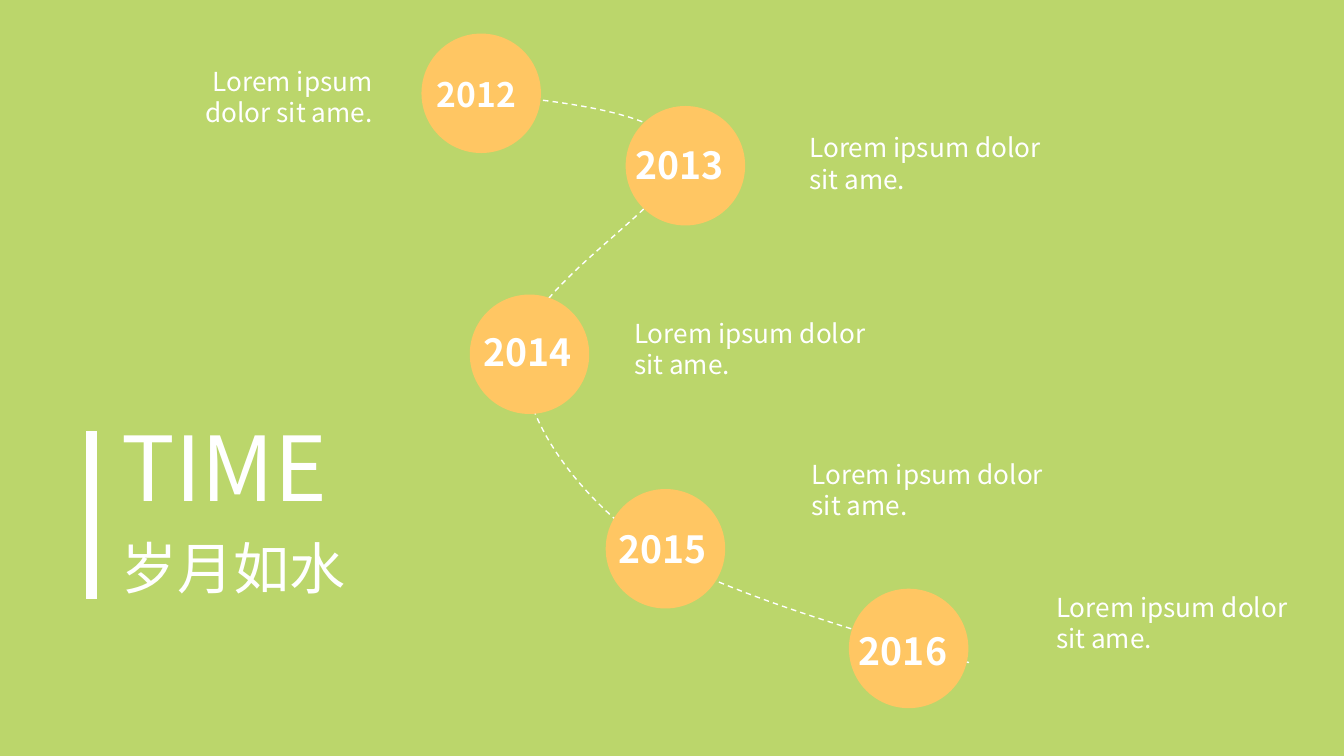
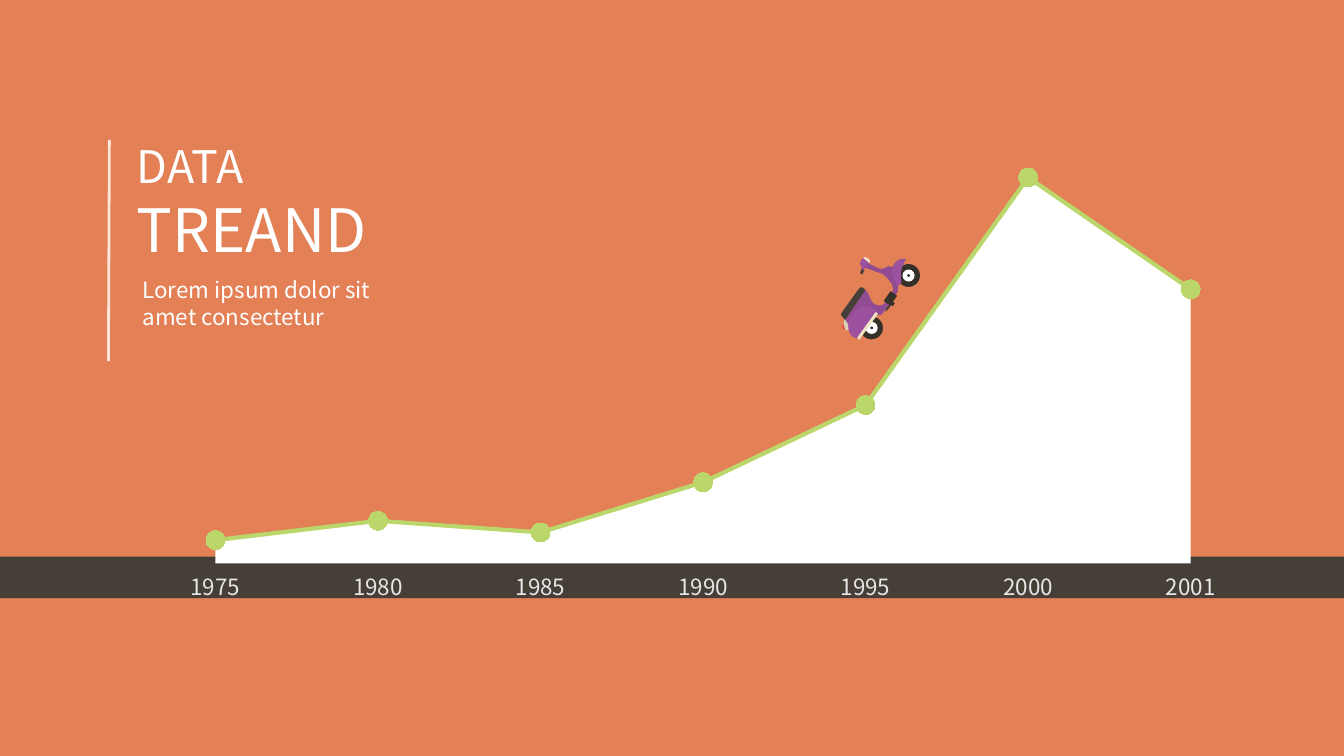
"""Build a two-slide deck: a timeline of years and a data trend chart."""
from dataclasses import dataclass
from typing import Any, NamedTuple

import lxml.etree
import pptx
import pptx.chart.data
import pptx.dml.color
import pptx.enum.chart
import pptx.enum.dml
import pptx.enum.shapes
import pptx.enum.text
import pptx.oxml
import pptx.oxml.ns
import pptx.slide
import pptx.util

Pt = pptx.util.Pt
ShapeKind = pptx.enum.shapes.MSO_SHAPE
LEFT = pptx.enum.text.PP_ALIGN.LEFT
RIGHT = pptx.enum.text.PP_ALIGN.RIGHT

FONT = "Noto Sans CJK SC"
WHITE, GREEN, ORANGE, AMBER = "FFFFFF", "BBD66B", "E38056", "FFC663"
BROWN, PALE_GREY, PALE_PEACH = "463F37", "E7E6E6", "FBE5D6"
TYRE, PURPLE, DEEP_PURPLE, CREAM = "353028", "9C519E", "904B92", "F1E4C4"

CIRCLE_SIZE = 64
YEAR_WIDTH = 65
OUTLINE_UNIT = 0.72


class Box(NamedTuple):
    left: float
    top: float
    width: float
    height: float


class Line(NamedTuple):
    text: str
    size: float
    bold: bool = False


@dataclass(frozen=True)
class Milestone:
    year: Line
    circle: tuple[float, float]
    year_right: float
    year_top: float
    note: Box
    note_align: Any = LEFT


@dataclass(frozen=True)
class Outline:
    color: str
    segments: tuple[tuple[float, ...], ...]


class Wheel(NamedTuple):
    x: float
    y: float


MILESTONES = (
    Milestone(Line("2012", 18, True), (225.8, 18), 283.5, 36, Box(91.8, 31.5, 115, 41), RIGHT),
    Milestone(Line("2013", 20, True), (335.2, 56.8), 395, 72.7, Box(426.5, 67, 141, 41)),
    Milestone(Line("2014", 20, True), (251.7, 157.8), 313.2, 172.8, Box(332.6, 166.5, 141, 41)),
    Milestone(Line("2015", 20, True), (324.5, 262), 385.5, 278.6, Box(427.8, 242, 141, 41)),
    Milestone(Line("2016", 20, True), (454.8, 315.4), 514.5, 333.2, Box(558.7, 313.2, 141, 41)),
)
TIMELINE = (
    (347, 69), (409, 74, 499, 83, 506, 114), (513, 146, 393, 210, 389, 259),
    (385, 308, 428, 368, 484, 407), (539, 446, 721, 493, 721, 493),
)

TREND = {"1975": 6, "1980": 11, "1985": 8, "1990": 21, "1995": 41, "2000": 100, "2001": 71}
PLOT_PERCENT = {"x": 2.03, "y": 5.6, "w": 96, "h": 85.1}

WHEELS = (Wheel(676, 205), Wheel(648.5, 244))
WHEEL_RINGS = ((17, TYRE), (9, WHITE), (2, TYRE))
SCOOTER_REAR = (
    Outline("C7BEA3", ((678, 208), (679, 208), (682, 208), (683, 209), (681, 211),
                       (681, 212), (680, 213), (678, 211))),
    Outline("ED2A27", ((628, 241), (628, 241, 626, 242, 627, 244),
                       (627, 245, 629, 245, 629, 245))),
    Outline("DACFB2", ((629, 237), (629, 237, 629, 238, 628, 239),
                       (627, 240, 628, 245, 630, 246), (631, 246, 632, 245, 632, 245),
                       (633, 240))),
)
SCOOTER_BODY = (
    Outline(BROWN, ((642, 214), (641, 213, 640, 214, 639, 215), (626, 233),
                    (625, 234, 626, 235, 627, 236), (629, 238), (644, 216))),
    Outline(BROWN, ((664, 225), (664, 226), (660, 231), (660, 232, 659, 232, 659, 232),
                    (659, 230), (663, 225))),
    Outline(TYRE, ((665, 225), (666, 225, 666, 226, 665, 227),
                   (665, 228, 664, 228, 663, 227), (661, 226),
                   (660, 226, 660, 225, 661, 224), (661, 223, 662, 223, 663, 224))),
    Outline(DEEP_PURPLE, (
        (643, 199), (657, 204), (657, 204, 664, 210, 664, 213),
        (665, 216, 664, 218, 664, 218), (664, 218, 659, 224, 658, 226),
        (657, 228, 651, 228, 649, 225), (647, 222, 646, 217, 644, 216), (629, 238),
        (631, 241), (652, 234), (652, 234, 655, 236, 657, 233), (668, 217), (668, 213),
        (670, 210), (670, 210, 668, 202, 674, 193), (667, 191, 664, 199, 664, 199),
        (661, 198), (661, 198, 657, 201, 654, 200), (646, 196))),
)
SCOOTER_PANELS = (
    Outline(PURPLE, ((650, 230), (651, 231, 652, 232, 653, 233),
                     (648, 240, 642, 248, 639, 252), (638, 252, 637, 251, 635, 251),
                     (630, 247, 630, 239, 634, 234), (638, 228, 645, 226, 650, 230))),
    Outline(PURPLE, ((664, 199), (663, 204, 665, 209, 668, 213), (671, 210),
                     (671, 210, 668, 202, 674, 193), (668, 191, 664, 198, 664, 199))),
    Outline(CREAM, ((653, 233), (653, 234), (640, 252), (640, 253, 639, 253, 639, 253),
                    (638, 251), (651, 233), (651, 232, 652, 232, 653, 233))),
    Outline(CREAM, ((642, 192), (647, 196), (648, 195, 647, 193, 647, 193), (645, 192),
                    (644, 191, 643, 191, 642, 192))),
    Outline(PURPLE, ((640, 195), (639, 196, 640, 197, 641, 198), (642, 199),
                     (643, 200, 645, 199, 645, 198), (647, 196), (642, 192))),
    Outline(BROWN, ((640, 203), (640, 203, 640, 204, 641, 204), (642, 204),
                    (643, 201), (641, 200))),
    Outline(PURPLE, ((643, 196), (642, 196, 642, 197, 642, 197), (641, 200), (643, 201),
                     (644, 198), (644, 197, 644, 197, 643, 196))),
)


def rgb(color: str) -> pptx.dml.color.RGBColor:
    return pptx.dml.color.RGBColor.from_string(color)


def paint(fill: Any, color: str) -> None:
    fill.solid()
    fill.fore_color.rgb = rgb(color)


def place(shape: Any, box: Box) -> None:
    shape.left, shape.top, shape.width, shape.height = map(Pt, box)


def write(shape: Any, lines: list[Line], align: Any = LEFT) -> None:
    frame = shape.text_frame
    frame.word_wrap = True
    frame.auto_size = pptx.enum.text.MSO_AUTO_SIZE.NONE
    frame.vertical_anchor = pptx.enum.text.MSO_ANCHOR.TOP
    frame.text = "\n".join(line.text for line in lines)
    for paragraph, line in zip(frame.paragraphs, lines):
        paragraph.alignment = align
        font = paragraph.font
        font.size, font.bold, font.name = Pt(line.size), line.bold, FONT
        font.color.rgb = rgb(WHITE)
        for properties in paragraph._p.xpath("a:pPr/a:defRPr"):
            lxml.etree.SubElement(properties, pptx.oxml.ns.qn("a:ea"), typeface=FONT)


def add_text(slide: pptx.slide.Slide, box: Box, line: Line, align: Any = LEFT) -> None:
    write(slide.shapes.add_textbox(*map(Pt, box)), [line], align)


def add_flat(shapes: Any, kind: Any, box: Box, color: str, turn: float = 0) -> None:
    shape = shapes.add_shape(kind, *map(Pt, box))
    shape.shadow.inherit = False
    shape.rotation = turn
    paint(shape.fill, color)
    shape.line.fill.background()


def add_rule(slide: pptx.slide.Slide, x: float, top: float, bottom: float,
             color: str, weight: float, lean: float = 0) -> None:
    rule = slide.shapes.add_connector(
        pptx.enum.shapes.MSO_CONNECTOR.STRAIGHT, Pt(x + lean), Pt(top), Pt(x), Pt(bottom))
    rule.line.color.rgb = rgb(color)
    rule.line.width = Pt(weight)
    lxml.etree.SubElement(rule._element.spPr, pptx.oxml.ns.qn("a:effectLst"))


def add_outline(shapes: Any, segments: tuple[tuple[float, ...], ...], closed: bool) -> Any:
    points = [(Pt(x * OUTLINE_UNIT), Pt(y * OUTLINE_UNIT))
              for segment in segments for x, y in zip(segment[::2], segment[1::2])]
    builder = shapes.build_freeform(*points[0])
    builder.add_line_segments(points[1:], close=False)
    shape = builder.convert_to_shape()
    shape.shadow.inherit = False
    steps = iter(shape._element.xpath(".//a:lnTo"))
    for segment in segments[1:]:
        corner = next(steps)
        if len(segment) == 6:
            curve = lxml.etree.Element(pptx.oxml.ns.qn("a:cubicBezTo"))
            corner.addprevious(curve)
            for step in (corner, next(steps), next(steps)):
                curve.append(step[0])
                step.getparent().remove(step)
    if closed:
        drawing = shape._element.xpath(".//a:pathLst/*")[0]
        lxml.etree.SubElement(drawing, pptx.oxml.ns.qn("a:close"))
    return shape


def start_slide(deck: Any, background: str, title: list[Line], title_box: Box,
                subtitle: Line, subtitle_box: Box) -> pptx.slide.Slide:
    slide = deck.slides.add_slide(deck.slide_layouts[0])
    paint(slide.background.fill, background)
    place(slide.shapes.title, title_box)
    write(slide.shapes.title, title)
    place(slide.placeholders[1], subtitle_box)
    write(slide.placeholders[1], [subtitle])
    return slide


def build_timeline(deck: Any) -> None:
    slide = start_slide(deck, GREEN, [Line("TIME", 48)], Box(58, 217, 130, 65.5),
                        Line("岁月如水", 30), Box(58, 282.2, 158.4, 44))
    thread = add_outline(slide.shapes, TIMELINE, closed=False)
    thread.fill.background()
    thread.line.color.rgb = rgb(WHITE)
    thread.line.width = Pt(0.75)
    thread.line.dash_style = pptx.enum.dml.MSO_LINE.DASH
    for stop in MILESTONES:
        circle = Box(*stop.circle, CIRCLE_SIZE, CIRCLE_SIZE)
        add_flat(slide.shapes, ShapeKind.OVAL, circle, AMBER)
        year_box = Box(stop.year_right - YEAR_WIDTH, stop.year_top, YEAR_WIDTH, 31.7)
        add_text(slide, year_box, stop.year, RIGHT)
        add_text(slide, stop.note, Line("Lorem ipsum dolor sit ame.", 14), stop.note_align)
    add_rule(slide, 49.2, 231, 321, WHITE, 6)


def add_trend_chart(slide: pptx.slide.Slide) -> None:
    trend = pptx.chart.data.CategoryChartData()
    trend.categories = list(TREND)
    for name in ("Series 1", "Series 2"):
        trend.add_series(name, list(TREND.values()))
    chart = slide.shapes.add_chart(pptx.enum.chart.XL_CHART_TYPE.AREA,
                                   *map(Pt, (59, 37.4, 635, 291.6)), trend).chart
    chart.has_legend = chart.has_title = False
    chart.font.size, chart.font.name = Pt(10), FONT
    chart.font.color.rgb = rgb("000000")

    years, values = chart.category_axis, chart.value_axis
    years.major_tick_mark = years.minor_tick_mark = pptx.enum.chart.XL_TICK_MARK.NONE
    years.format.line.fill.background()
    years.has_major_gridlines = values.has_major_gridlines = False
    label_font = years.tick_labels.font
    label_font.size, label_font.name = Pt(12), FONT
    label_font.color.rgb = rgb(PALE_GREY)
    values.minimum_scale, values.maximum_scale = 0, 120
    values.visible = False

    space = chart._chartSpace
    namespaces = pptx.oxml.ns.nsdecls("c", "a")
    space.xpath("c:chart")[0].addnext(pptx.oxml.parse_xml(
        f"<c:spPr {namespaces}><a:noFill/><a:ln><a:noFill/></a:ln></c:spPr>"))
    space.xpath(".//c:crossBetween")[0].set("val", "between")
    for old_layout in space.xpath(".//c:plotArea/c:layout"):
        old_layout.getparent().remove(old_layout)
    edges = "".join(f'<c:{key} val="{share / 100:.4f}"/>' for key, share in PLOT_PERCENT.items())
    space.xpath(".//c:plotArea")[0].insert(0, pptx.oxml.parse_xml(
        f'<c:layout {namespaces}><c:manualLayout><c:layoutTarget val="inner"/>'
        f'<c:xMode val="edge"/><c:yMode val="edge"/>{edges}</c:manualLayout></c:layout>'))

    area = space.xpath(".//c:areaChart")[0]
    axes = "".join(f'<c:axId val="{axis.get("val")}"/>' for axis in area.xpath("c:axId"))
    line = pptx.oxml.parse_xml(
        f'<c:lineChart {namespaces}><c:grouping val="standard"/><c:varyColors val="0"/>'
        f'<c:marker val="1"/>{axes}</c:lineChart>')
    line.insert(2, area.xpath("c:ser")[1])
    area.addnext(line)

    area_plot, line_plot = chart.plots
    area_plot.vary_by_categories = line_plot.vary_by_categories = False
    paint(area_plot.series[0].format.fill, WHITE)
    area_plot.series[0].format.line.fill.background()
    ridge = line_plot.series[0]
    ridge.smooth = False
    ridge.format.line.color.rgb = rgb(GREEN)
    ridge.format.line.width = Pt(2.25)
    ridge.marker.style = pptx.enum.chart.XL_MARKER_STYLE.CIRCLE
    ridge.marker.size = 10
    paint(ridge.marker.format.fill, GREEN)
    ridge.marker.format.line.color.rgb = rgb(GREEN)


def add_parts(shapes: Any, parts: tuple[Outline, ...]) -> None:
    for part in parts:
        shape = add_outline(shapes, part.segments, closed=True)
        paint(shape.fill, part.color)
        shape.line.fill.background()


def add_scooter(slide: pptx.slide.Slide) -> None:
    scooter = slide.shapes.add_group_shape().shapes
    add_parts(scooter, SCOOTER_REAR)
    for wheel in WHEELS:
        for size, color in WHEEL_RINGS:
            ring = (wheel.x - size / 2, wheel.y - size / 2, size, size)
            add_flat(scooter, ShapeKind.OVAL, Box(*(n * OUTLINE_UNIT for n in ring)), color)
    add_parts(scooter, SCOOTER_BODY)
    add_flat(scooter, ShapeKind.RECTANGLE, Box(473.8, 157.7, 6.5, 4.3), TYRE, 305.3)
    add_parts(scooter, SCOOTER_PANELS)


def build_trend(deck: Any) -> None:
    slide = start_slide(deck, ORANGE, [Line("DATA", 24), Line("TREAND", 32)],
                        Box(66.2, 70.6, 145.4, 75),
                        Line("Lorem ipsum dolor sit amet consectetur", 12),
                        Box(69.2, 144.5, 165.6, 43.2))
    add_flat(slide.shapes, ShapeKind.RECTANGLE, Box(-0.5, 298.2, 720.5, 22.3), BROWN)
    add_trend_chart(slide)
    add_scooter(slide)
    add_rule(slide, 58.1, 75, 193.5, PALE_PEACH, 1.5, lean=0.5)


def main() -> None:
    deck = pptx.Presentation()
    deck.slide_width, deck.slide_height = Pt(720), Pt(405)
    build_timeline(deck)
    build_trend(deck)
    deck.save("out.pptx")


if __name__ == "__main__":
    main()
